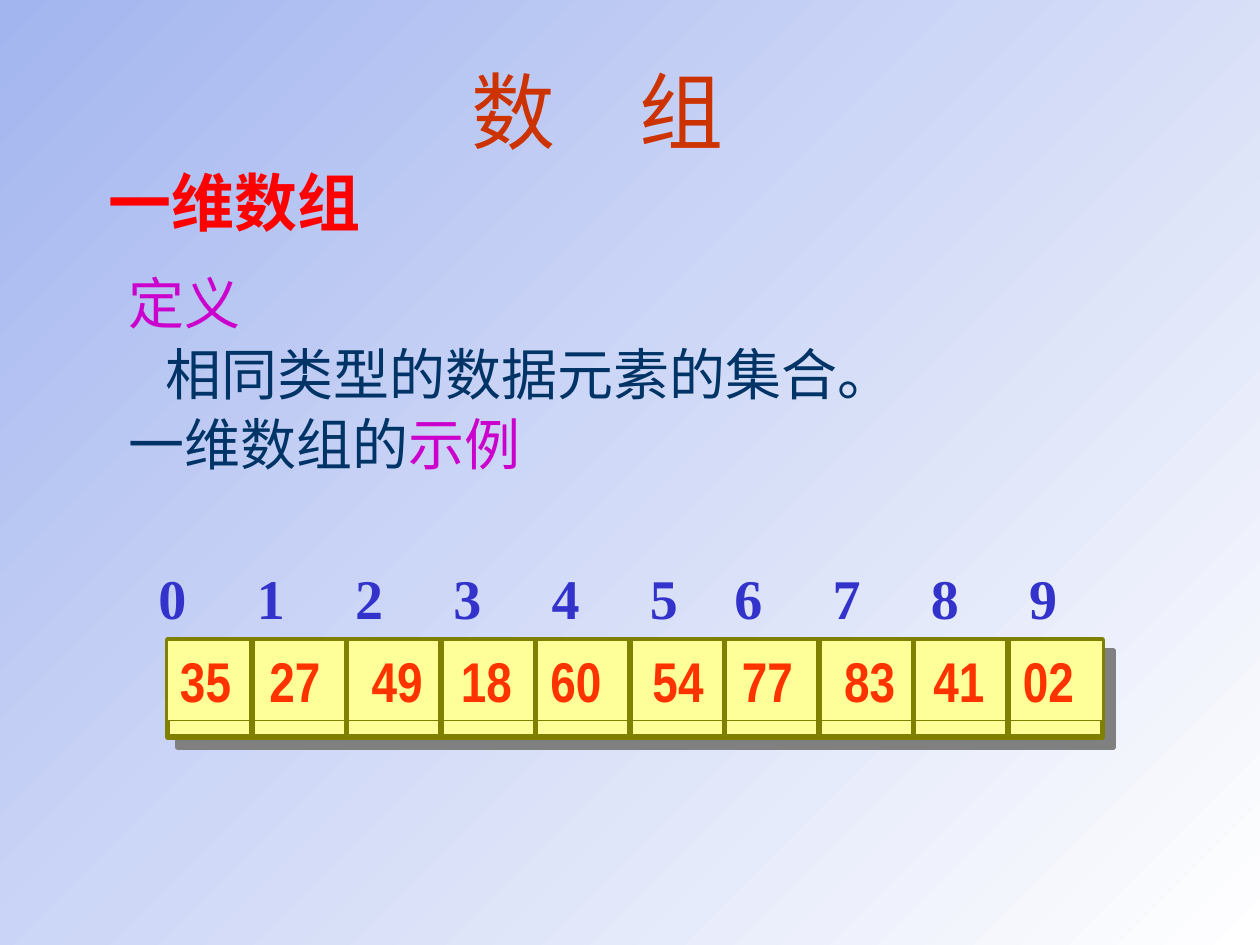
from itertools import accumulate

from lxml import etree
from pptx import Presentation
from pptx.dml.color import RGBColor
from pptx.enum.shapes import MSO_CONNECTOR, MSO_SHAPE
from pptx.enum.text import MSO_ANCHOR, MSO_AUTO_SIZE, PP_ALIGN
from pptx.oxml import parse_xml
from pptx.oxml.ns import nsdecls, qn
from pptx.util import Inches, Pt

RECTANGLE = MSO_SHAPE.RECTANGLE
STRAIGHT = MSO_CONNECTOR.STRAIGHT
LEFT, CENTER = PP_ALIGN.LEFT, PP_ALIGN.CENTER
TOP, MIDDLE = MSO_ANCHOR.TOP, MSO_ANCHOR.MIDDLE
NO_AUTOSIZE = MSO_AUTO_SIZE.NONE

PALE_BLUE = RGBColor(0xA3, 0xB5, 0xEF)
WHITE = RGBColor(0xFF, 0xFF, 0xFF)
RUST = RGBColor(0xCC, 0x33, 0x00)
RED = RGBColor(0xFF, 0x00, 0x00)
MAGENTA = RGBColor(0xCC, 0x00, 0xCC)
NAVY = RGBColor(0x00, 0x33, 0x66)
INDIGO = RGBColor(0x33, 0x33, 0xCC)
ORANGE = RGBColor(0xFF, 0x33, 0x00)
YELLOW = RGBColor(0xFF, 0xFF, 0x99)
OLIVE = RGBColor(0x80, 0x80, 0x00)

SERIF, NARROW = "Times New Roman", "Arial Narrow"
TITLE = {"name": SERIF, "size": Pt(48), "bold": False}
HEADING = {"name": SERIF, "size": Pt(36), "bold": True}
BODY = {"name": SERIF, "size": Pt(32), "bold": False}
INDEX = {"name": SERIF, "size": Pt(32), "bold": True}
VALUE = {"name": NARROW, "size": Pt(32), "bold": True}

DEFINITION = [
    (0, [("定义", MAGENTA)]),
    (0.29, [("相同类型的数据元素的集合。", NAVY)]),
    (0, [("一维数组的", NAVY), ("示例", MAGENTA)]),
]
VALUES = ["35", "27", "49", "18", "60", "54", "77", "83", "41", "02"]
VALUE_STEPS = [0.71, 0.81, 0.71, 0.71, 0.81, 0.71, 0.81, 0.71, 0.71]
INDEX_STEPS = [0.78] * 5 + [0.67] + [0.78] * 3

ARRAY_LEFT, ARRAY_TOP, ARRAY_WIDTH = 1.33, 5.08, 7.42
FIRST_DIVIDER, CELL_WIDTH = 2, 0.75


class SlideBuilder:
    def __init__(self, presentation):
        self.slide = presentation.slides.add_slide(presentation.slide_layouts[1])

    def background(self, start, end):
        fill = self.slide.background.fill
        fill.gradient()
        fill.gradient_angle = 315
        for stop, color, position in zip(fill.gradient_stops, (start, end), (0, 1)):
            stop.color.rgb = color
            stop.position = position

    def add_text(self, paragraph, text, style, color):
        run = paragraph.add_run()
        run.text = text
        for attribute, value in style.items():
            setattr(run.font, attribute, value)
        run.font.color.rgb = color

    def place(self, shape, left, top, width, height, anchor):
        shape.left, shape.top = Inches(left), Inches(top)
        shape.width, shape.height = Inches(width), Inches(height)
        shape.text_frame.auto_size = NO_AUTOSIZE
        shape.text_frame.vertical_anchor = anchor

    def title(self, text, *box):
        shape = self.slide.shapes.title
        self.place(shape, *box, MIDDLE)
        paragraph = shape.text_frame.paragraphs[0]
        paragraph.alignment = CENTER
        self.add_text(paragraph, text, TITLE, RUST)

    def body(self, lines, *box):
        shape = self.slide.placeholders[1]
        self.place(shape, *box, TOP)
        frame = shape.text_frame
        for number, (indent, runs) in enumerate(lines):
            paragraph = frame.add_paragraph() if number else frame.paragraphs[0]
            paragraph.space_before = Pt(2 if number else 0)
            properties = paragraph._p.get_or_add_pPr()
            properties.set("marL", str(Inches(indent)))
            properties.set("indent", "0")
            etree.SubElement(properties, qn("a:buNone"))
            for text, color in runs:
                self.add_text(paragraph, text, BODY, color)

    def text_box(self, *box, wrap=True):
        shape = self.slide.shapes.add_textbox(*map(Inches, box))
        shape.text_frame.word_wrap = wrap
        return shape

    def rectangle(self, *box, line_width):
        shape = self.slide.shapes.add_shape(RECTANGLE, *map(Inches, box))
        shape.shadow.inherit = False
        shape.fill.solid()
        shape.fill.fore_color.rgb = YELLOW
        shape.line.color.rgb = OLIVE
        shape.line.width = Pt(line_width)
        return shape

    def hard_shadow(self, shape):
        effects = shape._element.spPr.find(qn("a:effectLst"))
        effects.append(parse_xml(
            f'<a:outerShdw {nsdecls("a")} blurRad="0" dist="{Pt(8.5)}" dir="2700000" '
            'algn="ctr" rotWithShape="0"><a:srgbClr val="808080"/></a:outerShdw>'))

    def tabbed_row(self, shape, words, steps, style, color):
        """Set words on one line, each at a tab stop reached by adding up steps."""
        shape.text_frame.vertical_anchor = TOP
        paragraph = shape.text_frame.paragraphs[0]
        paragraph.alignment = LEFT
        tabs = etree.SubElement(paragraph._p.get_or_add_pPr(), qn("a:tabLst"))
        for position in accumulate(steps):
            etree.SubElement(tabs, qn("a:tab"), pos=str(Inches(position)), algn="l")
        self.add_text(paragraph, "\t".join(words), style, color)

    def divider(self, x, top, bottom):
        line = self.slide.shapes.add_connector(
            STRAIGHT, Inches(x), Inches(top), Inches(x), Inches(bottom))
        line.line.color.rgb = OLIVE
        line.line.width = Pt(3)
        etree.SubElement(line._element.spPr, qn("a:effectLst"))


def main():
    presentation = Presentation()
    presentation.slide_width, presentation.slide_height = Inches(10), Inches(7.5)
    builder = SlideBuilder(presentation)
    builder.background(PALE_BLUE, WHITE)

    builder.title("数　组", 3.08, 0.5, 3.33, 0.75)
    heading = builder.text_box(0.76, 1.25, 2.2, 0.7, wrap=False)
    builder.add_text(heading.text_frame.paragraphs[0], "一维数组", HEADING, RED)
    builder.body(DEFINITION, 0.92, 2.08, 8.25, 1.83)

    frame = builder.rectangle(ARRAY_LEFT, ARRAY_TOP, ARRAY_WIDTH, 0.77, line_width=3)
    builder.hard_shadow(frame)
    row = builder.rectangle(ARRAY_LEFT, ARRAY_TOP, ARRAY_WIDTH, 0.64, line_width=0.75)
    builder.tabbed_row(row, VALUES, VALUE_STEPS, VALUE, ORANGE)
    for number in range(len(VALUES) - 1):
        builder.divider(FIRST_DIVIDER + number * CELL_WIDTH, 5.07, 5.83)

    indexes = builder.text_box(1.16, 4.42, 7.5, 0.64)
    builder.tabbed_row(indexes, map(str, range(len(VALUES))), INDEX_STEPS, INDEX, INDIGO)

    presentation.save("out.pptx")


if __name__ == "__main__":
    main()
